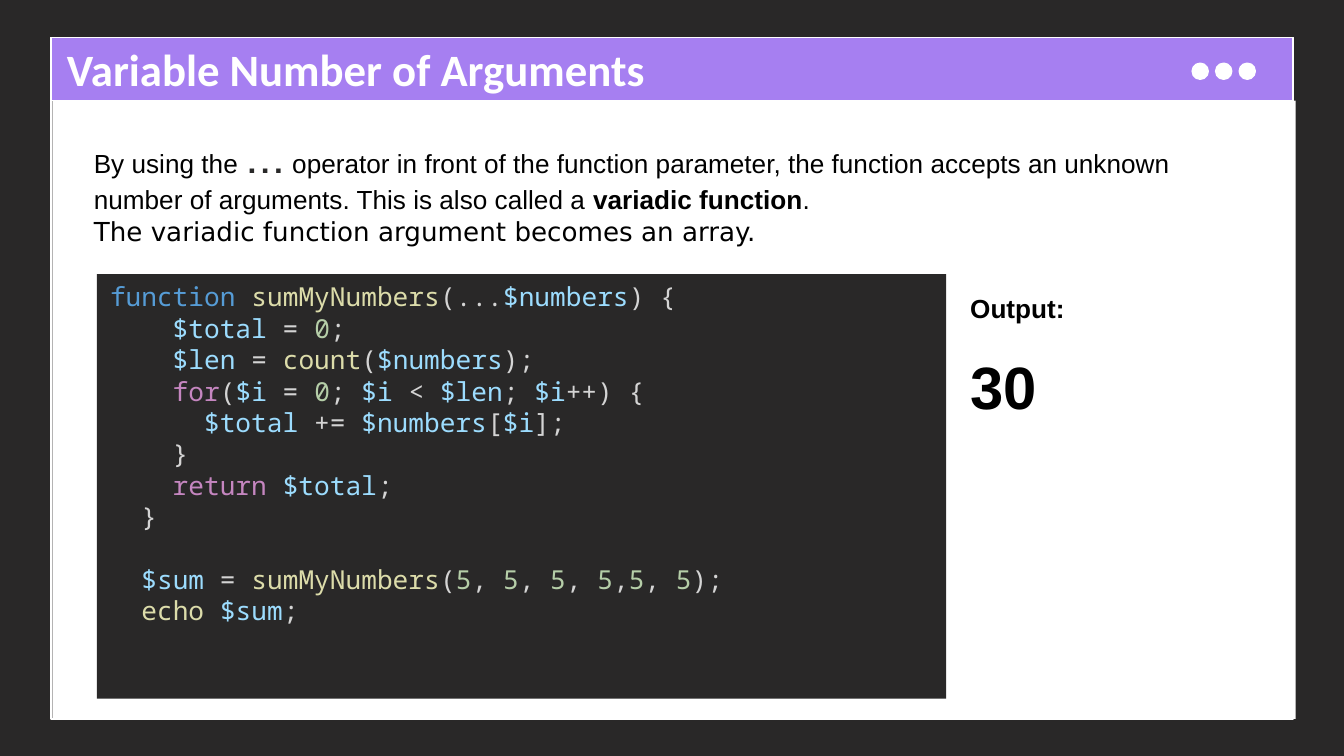
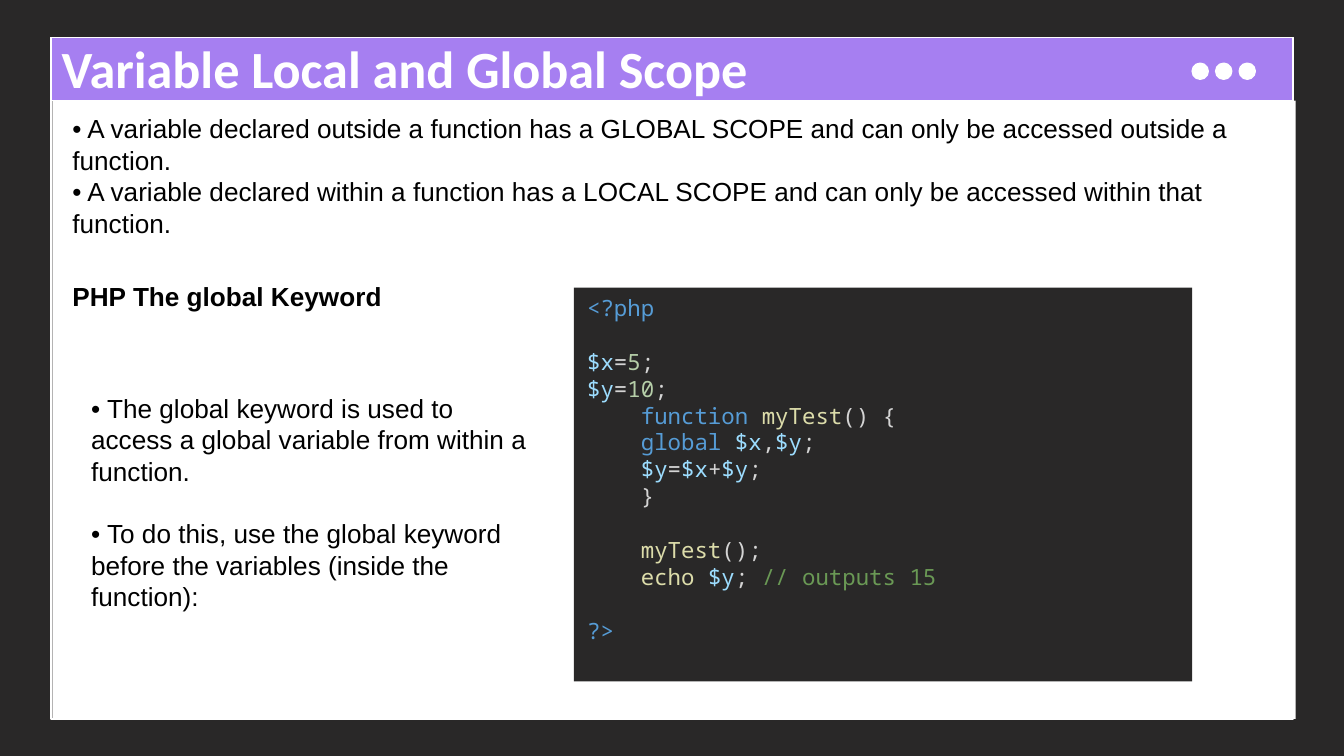
from itertools import groupby

from pptx import Presentation
from pptx.dml.color import RGBColor
from pptx.enum.shapes import MSO_SHAPE
from pptx.enum.text import MSO_ANCHOR, PP_ALIGN
from pptx.util import Inches, Pt

COLORS = {
    "ink": "292828", "violet": "A67FF1", "white": "FFFFFF", "black": "000000",
    "keyword": "569CD6", "control": "C586C0", "call": "DCDCAA", "symbol": "D4D4D4",
    "variable": "9CDCFE", "number": "B5CEA8", "comment": "6A9955",
}
WORDS = {"function": "keyword", "global": "keyword", "for": "control", "return": "control"}
PHP_TAGS = ("<?php", "?>")
CELL = 0.1  # inches per grid column and row
COLUMNS, ROWS = 100, 56.25
LEADING = 1.2
CODE_ADVANCE = 0.6  # width of a monospaced character, in ems

SUM_CODE = """\
function sumMyNumbers(...$numbers) {
    $total = 0;
    $len = count($numbers);
    for($i = 0; $i < $len; $i++) {
      $total += $numbers[$i];
    }
    return $total;
  }

  $sum = sumMyNumbers(5, 5, 5, 5,5, 5);
  echo $sum;"""

SCOPE_CODE = """\
<?php

$x=5;
$y=10;
    function myTest() {
    global $x,$y;
    $y=$x+$y;
    }

    myTest();
    echo $y; // outputs 15

?>"""


def grid(*cells):
    return [Inches(cell * CELL) for cell in cells]


def rgb(name):
    return RGBColor.from_string(COLORS[name])


def add_span(para, text, size=14, font="Arial", color="black", bold=False):
    span = para.add_run()
    span.text = text
    span.font.size = Pt(size)
    span.font.name = font
    span.font.bold = bold
    span.font.color.rgb = rgb(color)


def word_color(word):
    if word.startswith("$"):
        return "variable"
    return "number" if word.isdigit() else WORDS.get(word, "call")


def highlight(line):
    """Yield (text, color) pairs for one line of PHP."""
    if line in PHP_TAGS:
        yield line, "keyword"
        return
    code, slashes, comment = line.partition("//")
    for is_word, letters in groupby(code, lambda c: c.isalnum() or c in "$_"):
        text = "".join(letters)
        yield text, word_color(text) if is_word else "symbol"
    if slashes:
        yield slashes + comment, "comment"


class SlideBuilder:
    def __init__(self):
        self.deck = Presentation()
        self.deck.slide_width, self.deck.slide_height = grid(COLUMNS, ROWS)
        self.page = None

    def shape(self, at, fill=None, line=None, kind=MSO_SHAPE.RECTANGLE):
        box = self.page.shapes.add_shape(kind, *grid(*at))
        box.shadow.inherit = False
        if fill:
            box.fill.solid()
            box.fill.fore_color.rgb = rgb(fill)
        else:
            box.fill.background()
        if line:
            box.line.color.rgb = rgb(line)
            box.line.width = Pt(0.75)
        else:
            box.line.fill.background()
        return box

    def text(self, at, paragraphs, gap=0, leading=LEADING, size=14, **style):
        """Each paragraph is a string or a list of (text, style) pairs."""
        frame = self.page.shapes.add_textbox(*grid(*at)).text_frame
        frame.word_wrap = True
        for index, content in enumerate(paragraphs):
            para = frame.add_paragraph() if index else frame.paragraphs[0]
            if leading:
                para.line_spacing = Pt(size * leading)
            if index and gap:
                para.space_before = Pt(gap)
            spans = [(content, {})] if isinstance(content, str) else content
            for words, extra in spans:
                add_span(para, words, **{"size": size, **style, **extra})
        return frame

    def start(self, title, at, size):
        self.page = self.deck.slides.add_slide(self.deck.slide_layouts[6])
        background = self.page.background.fill
        background.solid()
        background.fore_color.rgb = rgb("ink")
        self.shape((3.8, 2.8, 92.4, 50.7), line="white")
        self.shape((3.8, 2.8, 92.4, 4.7), "violet", "white")
        for dot in range(3):
            self.shape((88.7 + 1.75 * dot, 4.7, 1.2, 1.2), "white", "white", MSO_SHAPE.OVAL)
        heading = self.text(at, [title], leading=None, size=size,
                            font="Calibri", color="white", bold=True)
        heading.margin_left = heading.margin_right = Inches(0.1)
        heading.margin_top = heading.margin_bottom = Inches(0.1)
        self.shape((3.9, 7.5, 92.5, 46), "white")

    def code(self, at, source, size):
        """Indents become paragraph margins and empty lines become spacing."""
        frame = self.shape(at, "ink").text_frame
        frame.word_wrap = True
        frame.vertical_anchor = MSO_ANCHOR.TOP
        para, blank = frame.paragraphs[0], 0
        for index, line in enumerate(source.splitlines()):
            if not line:
                blank += 1
                continue
            if index:
                para = frame.add_paragraph()
            para.alignment = PP_ALIGN.LEFT
            para.line_spacing = Pt(size * LEADING)
            para.space_before = Pt(size * LEADING * blank)
            blank = 0
            code = line.lstrip()
            indent = Pt((len(line) - len(code)) * size * CODE_ADVANCE)
            properties = para._p.get_or_add_pPr()
            properties.set("marL", str(int(indent)))
            properties.set("indent", "0")
            for text, color in highlight(code):
                add_span(para, text, size, "Noto Sans Mono", color)


def add_arguments_slide(slides):
    slides.start("Variable Number of Arguments", (4, 2.1, 65.1, 6.3), 24)
    slides.text((6, 8.5, 88, 10.4), [
        [("By using the ", {}),
         ("...", {"size": 28, "font": "Manrope", "color": "ink"}),
         (" operator in front of the function parameter, the function accepts"
          " an unknown number of arguments. This is also called a ", {}),
         ("variadic function", {"bold": True}),
         (".", {})],
        [("The variadic function argument becomes an array.", {"font": "DejaVu Sans"})],
    ], leading=None)
    slides.code((7.2, 20.4, 63.2, 31.6), SUM_CODE, 14)
    slides.text((71.2, 21.3, 16.1, 3.4), ["Output:"], bold=True)
    slides.text((71.2, 25.5, 9.3, 6.4), ["30"], size=32, bold=True)


def add_scope_slide(slides):
    slides.start("Variable Local and Global Scope", (3.6, 1.7, 65.1, 6.3), 28)
    slides.text((4.4, 7.9, 91.7, 10.4), [
        "• A variable declared outside a function has a GLOBAL SCOPE"
        " and can only be accessed outside a function.",
        "• A variable declared within a function has a LOCAL SCOPE"
        " and can only be accessed within that function.",
    ])
    slides.text((4.4, 20.4, 44.8, 3.4), ["PHP The global Keyword"], bold=True)
    slides.text((5.8, 28.7, 35, 17.5), [
        "• The global keyword is used to access a global variable from within a function.",
        "• To do this, use the global keyword before the variables (inside the function):",
    ], gap=14 * LEADING)
    slides.code((42.7, 21.4, 46, 29.3), SCOPE_CODE, 12)


def main():
    slides = SlideBuilder()
    add_arguments_slide(slides)
    add_scope_slide(slides)
    slides.deck.save("out.pptx")


if __name__ == "__main__":
    main()
